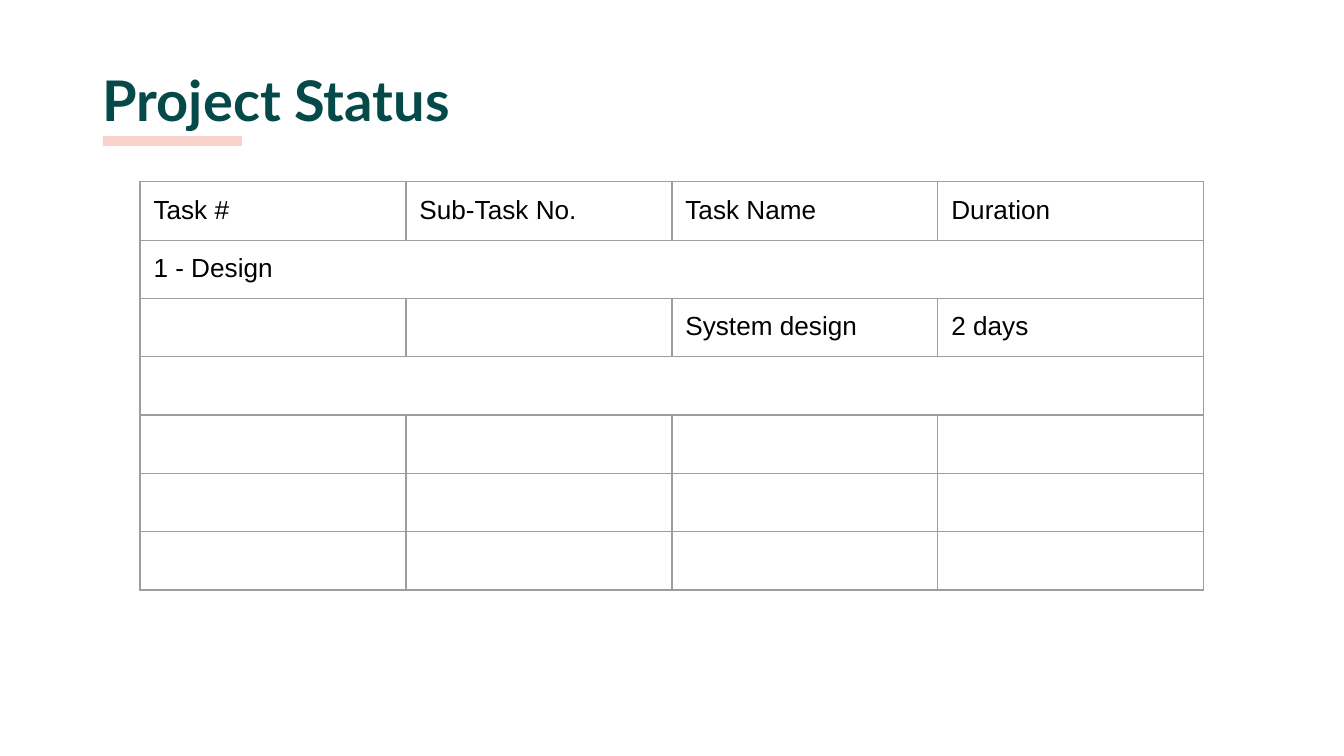
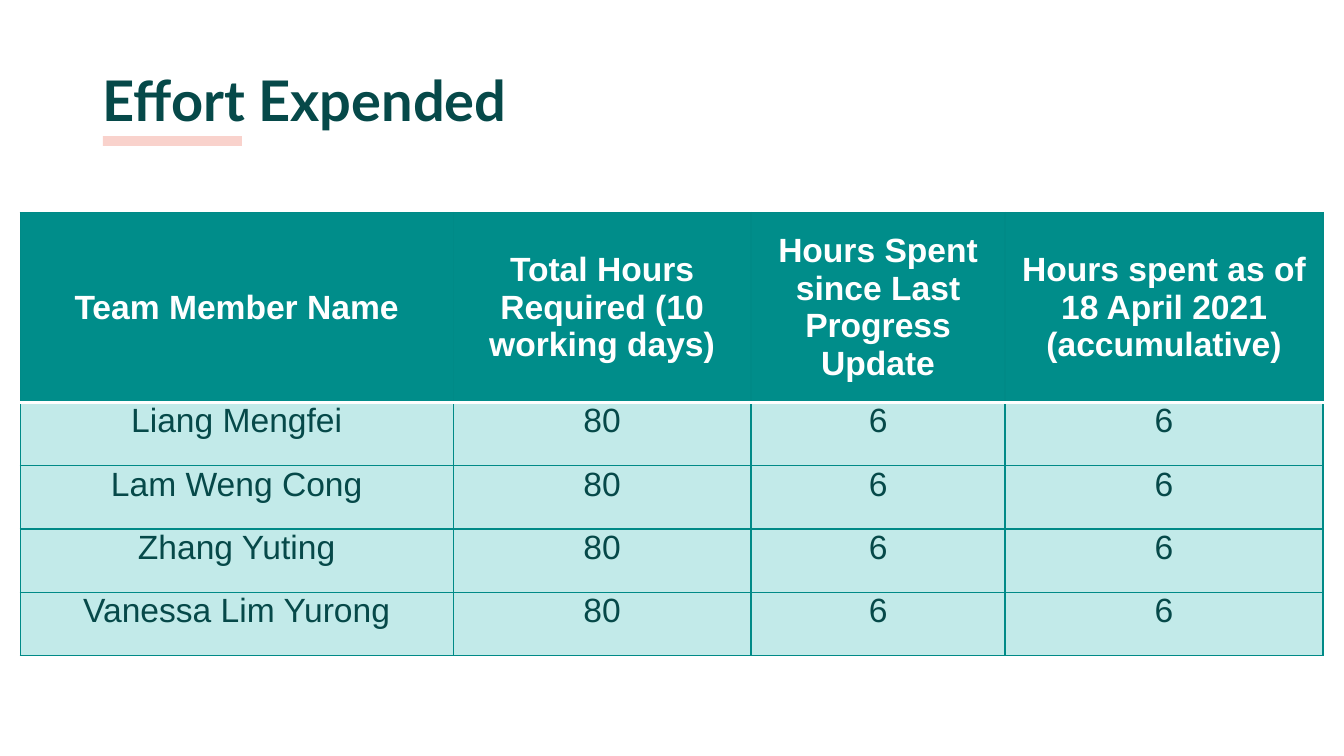
import pptx
import pptx.dml.color
import pptx.enum.shapes
import pptx.enum.text
import pptx.oxml.ns
import pptx.util
from lxml import etree

WIDE = pptx.util.Inches(10)
HIGH = WIDE * 9 // 16
TEAL, DARK, PINK, GREY = "008D8A", "064949", "F4AA9E", "9E9E9E"
WHITE, BLACK, MINT, EDGE = "FFFFFF", "000000", "C2EAE9", "008A87"
TITLE = {"name": "Lato", "size": pptx.util.Pt(30), "bold": True}
PLAIN = {"name": "Arial", "size": pptx.util.Pt(14), "bold": False}
BODY = {**PLAIN, "size": pptx.util.Pt(18)}
HEAD = {**BODY, "bold": True}
ROOMY = {side: pptx.util.Inches(0.1) for side in
         ("margin_left", "margin_right", "margin_top", "margin_bottom")}
TIGHT = {"margin_left": pptx.util.Inches(0.07), "margin_right": pptx.util.Inches(0.07),
         "margin_top": 0, "margin_bottom": 0}
LEFT, MID = pptx.enum.text.PP_ALIGN.LEFT, pptx.enum.text.PP_ALIGN.CENTER

STATUS = [
    ["Task #", "Sub-Task No.", "Task Name", "Duration"],
    ["1 - Design", "", "", ""],
    ["", "", "System design", "2 days"],
] + [[""] * 4] * 4
TEAM = ["Liang Mengfei", "Lam Weng Cong", "Zhang Yuting", "Vanessa Lim Yurong"]
EFFORT = [
    ["Team Member Name", "Total Hours Required (10 working days)",
     "Hours Spent since Last Progress Update",
     "Hours spent as of 18 April 2021 (accumulative)"],
] + [[name, "80", "6", "6"] for name in TEAM]


def tint(code):
    return pptx.dml.color.RGBColor.from_string(code)


def across(part):
    """Percent of the slide's width."""
    return round(WIDE * part / 100)


def down(part):
    """Percent of the slide's height."""
    return round(HIGH * part / 100)


def place(left, top, width, height):
    return across(left), down(top), across(width), down(height)


def apply(thing, values):
    for key, value in values.items():
        setattr(thing, key, value)


def node(parent, tag, **attrs):
    return etree.SubElement(parent, pptx.oxml.ns.qn(tag), **attrs)


def write(frame, text, style, color, align=LEFT):
    """Text in one style, which also sets the line height when empty."""
    line = frame.paragraphs[0]
    line.alignment = align
    if text:
        run = line.add_run()
        run.text = text
        apply(run.font, style)
        run.font.color.rgb = tint(color)
    end = node(line._p, "a:endParaRPr", sz=str(round(style["size"].pt * 100)))
    for tag in ("a:latin", "a:ea", "a:cs"):
        node(end, tag, typeface=style["name"])


def border(cell, side, color, width=0.75):
    line = node(cell._tc.get_or_add_tcPr(), "a:ln" + side,
                w=str(pptx.util.Pt(width)))
    node(node(line, "a:solidFill"), "a:srgbClr", val=color)


def heading(slide, text):
    """Title with its short pale bar below."""
    box = slide.shapes.add_textbox(*place(6.65, 6.94, 93.2, 11.2))
    box.text_frame.word_wrap = True
    apply(box.text_frame, ROOMY)
    write(box.text_frame, text, TITLE, DARK)
    bar = slide.shapes.add_shape(pptx.enum.shapes.MSO_SHAPE.RECTANGLE,
                                 *place(7.65, 18, 10.35, 1.3))
    bar.shadow.inherit = False
    bar.line.fill.background()
    bar.fill.solid()
    bar.fill.fore_color.rgb = tint(PINK)
    shade = bar._element.spPr.find(".//" + pptx.oxml.ns.qn("a:srgbClr"))
    node(shade, "a:alpha", val="52000")


def grid(slide, left, top, cols, rows):
    """Bare table; cols and rows are percents of the slide."""
    spot = place(left, top, sum(cols), sum(rows))
    table = slide.shapes.add_table(len(rows), len(cols), *spot).table
    table.first_row = table.horz_banding = False
    for col, part in zip(table.columns, cols):
        col.width = across(part)
    for row, part in zip(table.rows, rows):
        row.height = down(part)
    return table


def status(slide):
    heading(slide, "Project Status")
    table = grid(slide, 10.42, 24.05, [19.79] * 4, [7.43] * len(STATUS))
    for r, row in enumerate(STATUS):
        for c, text in enumerate(row):
            cell = table.cell(r, c)
            apply(cell, ROOMY)
            write(cell.text_frame, text, PLAIN, BLACK)
            for side in "LRTB":
                border(cell, side, GREY)
            cell.fill.background()
    for r in (1, 3):
        table.cell(r, 0).merge(table.cell(r, 3))


def effort(slide):
    heading(slide, "Effort Expended")
    table = grid(slide, 1.5, 28.1, [32.22, 22.17, 18.9, 23.66],
                 [25.13] + [8.38] * len(TEAM))
    for r, row in enumerate(EFFORT):
        top = r == 0
        rule = {0: "B", 1: "T"}.get(r)
        for c, text in enumerate(row):
            cell = table.cell(r, c)
            apply(cell, TIGHT)
            write(cell.text_frame, text, HEAD if top else BODY,
                  WHITE if top else DARK, MID)
            for side in "LRTB":
                border(cell, side, *((WHITE, 2) if side == rule else (EDGE,)))
            cell.fill.solid()
            cell.fill.fore_color.rgb = tint(TEAL if top else MINT)
            if top:
                cell.vertical_anchor = pptx.enum.text.MSO_ANCHOR.MIDDLE


def main():
    deck = pptx.Presentation()
    deck.slide_width, deck.slide_height = WIDE, HIGH
    for fill in (status, effort):
        fill(deck.slides.add_slide(deck.slide_layouts[6]))
    deck.save("out.pptx")


if __name__ == "__main__":
    main()
